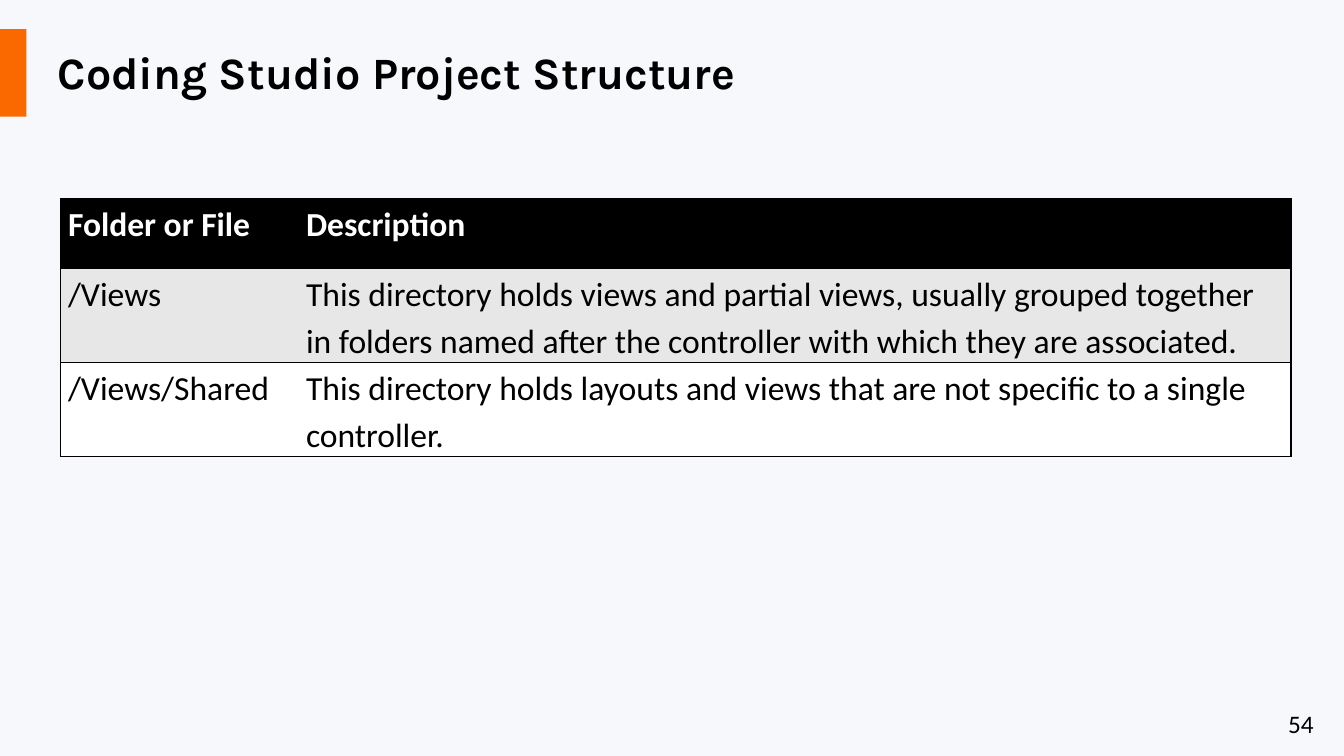
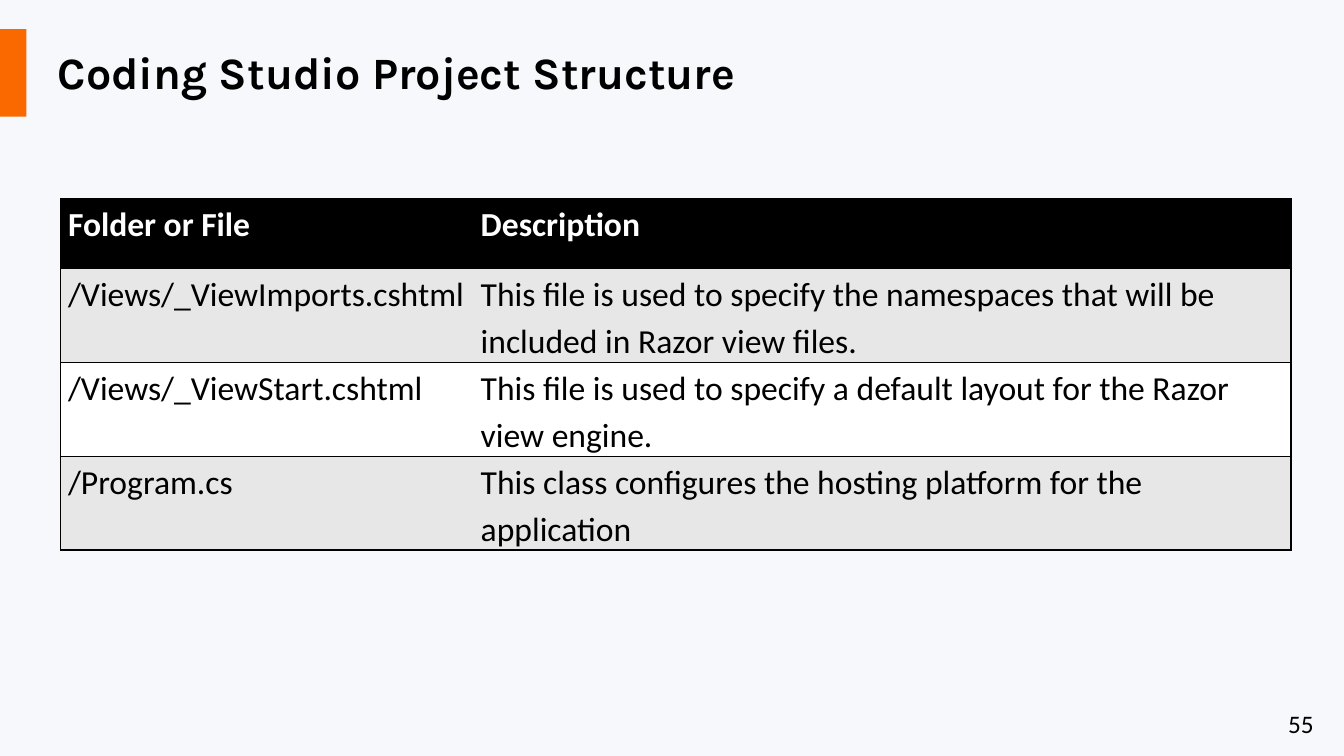
from dataclasses import dataclass

from pptx import Presentation
from pptx.dml.color import RGBColor
from pptx.enum.shapes import MSO_SHAPE as Shape
from pptx.enum.text import MSO_ANCHOR as Anchor, PP_ALIGN as Align
from pptx.oxml.ns import qn
from pptx.util import Pt
from lxml.etree import SubElement

COLORS = {
    "background": "F6F8FC",
    "accent": "FA6800",
    "ink": "000000",
    "header_text": "FFFFFF",
    "shaded": "E7E7E7",
    "plain": "FFFFFF",
}
TITLE_FONT, BODY_FONT = "Karla", "Calibri"
TABLE_LEFT, TABLE_TOP, TABLE_WIDTH = 43.2, 142, 879
HEADER_HEIGHT, ROW_HEIGHT = 50, 67
HEADER = ("Folder or File", "Description")


@dataclass(frozen=True)
class TablePage:
    number: int
    title: str
    first_column: float
    rows: tuple[tuple[str, str], ...]


PAGES = (
    TablePage(54, "Coding Studio Project Structure", 170, (
        ("/Views", "This directory holds views and partial views, usually grouped together "
                   "in folders named after the controller with which they are associated."),
        ("/Views/Shared", "This directory holds layouts and views that are not specific "
                          "to a single\ncontroller."),
    )),
    TablePage(55, "Coding Studio Project Structure", 294.8, (
        ("/Views/_ViewImports.cshtml", "This file is used to specify the namespaces that will be "
                                       "included in Razor view files."),
        ("/Views/_ViewStart.cshtml", "This file is used to specify a default layout for the Razor "
                                     "view engine."),
        ("/Program.cs", "This class configures the hosting platform for the application"),
    )),
)


def color(name: str) -> RGBColor:
    return RGBColor.from_string(COLORS[name])


def style_text(frame, font: str, size: float, ink: str = "ink", bold: bool = False) -> None:
    for para in frame.paragraphs:
        for span in para.runs:
            span.font.name = font
            span.font.size = Pt(size)
            span.font.bold = bold
            span.font.color.rgb = color(ink)


def draw_frame(page, number: int, title: str) -> None:
    # Accent band
    band = page.shapes.add_shape(Shape.RECTANGLE, Pt(0), Pt(20.8), Pt(18.8), Pt(62.6))
    band.shadow.inherit = False
    band.fill.solid()
    band.fill.fore_color.rgb = color("accent")
    band.line.fill.background()

    # Page number
    box = page.shapes.add_textbox(Pt(913), Pt(502.5), Pt(36), Pt(29))
    box.text_frame.word_wrap = False
    box.text_frame.text = str(number)
    style_text(box.text_frame, BODY_FONT, 18)

    # Title
    heading = page.shapes.title
    heading.left, heading.top = Pt(34), Pt(20.8)
    heading.width, heading.height = Pt(680), Pt(61.2)
    frame = heading.text_frame
    frame.text = title
    frame.vertical_anchor = Anchor.MIDDLE
    frame.paragraphs[0].alignment = Align.LEFT
    style_text(frame, TITLE_FONT, 32, bold=True)


def set_borders(cell, visible: str) -> None:
    """Draw a thin line on the visible sides (L, R, T, B) and none on the others."""
    properties = cell._tc.get_or_add_tcPr()
    for side in "LRTB":
        line = SubElement(properties, qn(f"a:ln{side}"), w=str(Pt(1)))
        if side in visible:
            fill = SubElement(line, qn("a:solidFill"))
            SubElement(fill, qn("a:srgbClr"), val=COLORS["ink"])
        else:
            SubElement(line, qn("a:noFill"))


def fill_cell(cell, text: str, row: int, column: int) -> None:
    is_header = row == 0
    set_borders(cell, "TB" + "LR"[column])
    cell.fill.solid()
    cell.fill.fore_color.rgb = color("ink" if is_header else ("plain", "shaded")[row % 2])
    cell.margin_left = cell.margin_right = Pt(5.4)
    cell.margin_top = cell.margin_bottom = Pt(0)
    cell.text_frame.text = text
    for para in cell.text_frame.paragraphs:
        para.line_spacing = 1.15
        para.alignment = Align.JUSTIFY if is_header and column else Align.LEFT
    style_text(cell.text_frame, BODY_FONT, 24, "header_text" if is_header else "ink", is_header)


def draw_table(page, content: TablePage) -> None:
    rows = (HEADER, *content.rows)
    height = HEADER_HEIGHT + ROW_HEIGHT * len(content.rows)
    table = page.shapes.add_table(len(rows), len(HEADER), Pt(TABLE_LEFT), Pt(TABLE_TOP),
                                  Pt(TABLE_WIDTH), Pt(height)).table
    table.horz_banding = False
    table.columns[0].width = Pt(content.first_column)
    table.columns[1].width = Pt(TABLE_WIDTH - content.first_column)
    for row, texts in enumerate(rows):
        table.rows[row].height = Pt(ROW_HEIGHT if row else HEADER_HEIGHT)
        for column, text in enumerate(texts):
            fill_cell(table.cell(row, column), text, row, column)


def main() -> None:
    deck = Presentation()
    deck.slide_width, deck.slide_height = Pt(960), Pt(540)
    background = deck.slide_master.background.fill
    background.solid()
    background.fore_color.rgb = color("background")
    title_only = deck.slide_layouts[5]
    for content in PAGES:
        page = deck.slides.add_slide(title_only)
        draw_frame(page, content.number, content.title)
        draw_table(page, content)
    deck.save("out.pptx")


if __name__ == "__main__":
    main()
